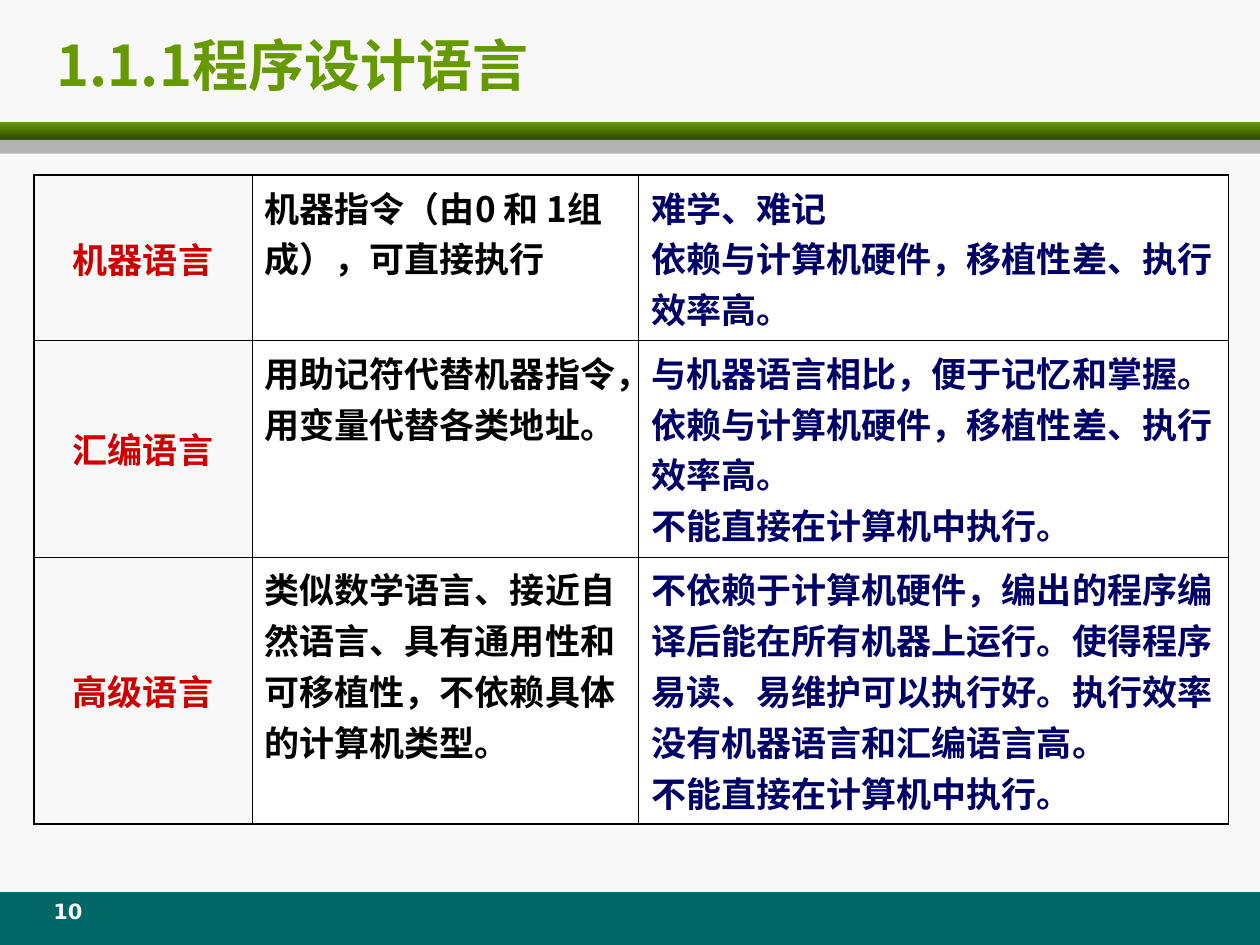
"""Build a slide comparing machine, assembly and high-level programming languages."""
from dataclasses import dataclass

from lxml import etree
from pptx import Presentation
from pptx.dml.color import RGBColor
from pptx.enum import shapes, text
from pptx.oxml.ns import qn
from pptx.util import Inches, Pt


@dataclass(frozen=True)
class Theme:
    """Colours, fonts, type sizes and line widths."""

    paper: str = "F8F8F8"
    white: str = "FFFFFF"
    black: str = "000000"
    green: str = "669900"
    dark_green: str = "2F4700"
    grey: str = "B2B2B2"
    teal: str = "006666"
    red: str = "CC0000"
    navy: str = "000066"
    title_font: str = "Noto Sans CJK JP"
    body_font: str = "Noto Sans CJK SC"
    number_font: str = "DejaVu Sans"
    title_size: float = 32
    body_size: float = 20
    number_size: float = 12
    outer_line: float = 1.08
    inner_line: float = 0.45


THEME = Theme()


@dataclass(frozen=True)
class Band:
    """A full-width bar with one colour, or two for a vertical gradient."""

    top: float
    height: float
    colors: tuple[str, ...]


@dataclass(frozen=True)
class Style:
    """The look of a run of text and its paragraph."""

    font: str
    size: float
    color: str
    align: text.PP_ALIGN = text.PP_ALIGN.LEFT


@dataclass(frozen=True)
class Language:
    """One table row: a kind of language, what it is, and its traits."""

    name: str
    meaning: str
    traits: tuple[str, ...]
    height: float


@dataclass(frozen=True)
class Column:
    """Width, text style, anchor and optional fill of a table column."""

    width: float
    style: Style
    anchor: text.MSO_ANCHOR
    fill: str | None


BANDS = (
    Band(7.08, 0.42, (THEME.teal,)),
    Band(0.97, 0.14, (THEME.green, THEME.dark_green)),
    Band(1.11, 0.11, (THEME.grey,)),
)
TITLE = Style(THEME.title_font, THEME.title_size, THEME.green)
NUMBER = Style(THEME.number_font, THEME.number_size, THEME.paper, text.PP_ALIGN.CENTER)
COLUMNS = (
    Column(1.73, Style(THEME.body_font, THEME.body_size, THEME.red, text.PP_ALIGN.CENTER),
           text.MSO_ANCHOR.MIDDLE, None),
    Column(3.07, Style(THEME.body_font, THEME.body_size, THEME.black),
           text.MSO_ANCHOR.TOP, THEME.white),
    Column(4.68, Style(THEME.body_font, THEME.body_size, THEME.navy),
           text.MSO_ANCHOR.TOP, THEME.white),
)
HARDWARE = "依赖与计算机硬件，移植性差、执行效率高。"
INDIRECT = "不能直接在计算机中执行。"
LANGUAGES = (
    Language("机器语言", "机器指令（由0 和 1组成），可直接执行", ("难学、难记", HARDWARE), 1.31),
    Language("汇编语言", "用助记符代替机器指令，用变量代替各类地址。",
             ("与机器语言相比，便于记忆和掌握。", HARDWARE, INDIRECT), 1.72),
    Language("高级语言", "类似数学语言、接近自然语言、具有通用性和可移植性，不依赖具体的计算机类型。",
             ("不依赖于计算机硬件，编出的程序编译后能在所有机器上运行。使得程序易读、易维护可以执行好。"
              "执行效率没有机器语言和汇编语言高。", INDIRECT), 2.12),
)


def rgb(color: str) -> RGBColor:
    """Turn a hex string into a colour."""
    return RGBColor.from_string(color)


def write(frame, lines: tuple[str, ...], style: Style) -> None:
    """Fill a text frame with one paragraph a line."""
    frame.word_wrap = True
    for index, line in enumerate(lines):
        para = frame.paragraphs[0] if index == 0 else frame.add_paragraph()
        para.alignment = style.align
        para.space_before = Pt(0)
        span = para.add_run()
        span.text = line
        span.font.size = Pt(style.size)
        span.font.bold = True
        span.font.name = style.font
        span.font.color.rgb = rgb(style.color)
        etree.SubElement(span.font._element, qn("a:ea"), typeface=style.font)


def draw_band(page, band: Band) -> None:
    """Draw a full-width bar."""
    bar = page.shapes.add_shape(shapes.MSO_SHAPE.RECTANGLE, 0, Inches(band.top),
                                Inches(10), Inches(band.height))
    bar.shadow.inherit = False
    bar.line.fill.background()
    if len(band.colors) == 1:
        bar.fill.solid()
        bar.fill.fore_color.rgb = rgb(band.colors[0])
        return
    bar.fill.gradient()
    bar.fill.gradient_angle = 270
    for position, (stop, color) in enumerate(zip(bar.fill.gradient_stops, band.colors)):
        stop.position = position
        stop.color.rgb = rgb(color)


def draw_borders(cell, outer: dict[str, bool]) -> None:
    """Rule the cell, thicker on the sides at the table's edge."""
    props = cell._tc.get_or_add_tcPr()
    for index, (side, edge) in enumerate(outer.items()):
        width = THEME.outer_line if edge else THEME.inner_line
        line = etree.Element(qn(f"a:{side}"), w=str(int(Pt(width))))
        fill = etree.SubElement(line, qn("a:solidFill"))
        etree.SubElement(fill, qn("a:srgbClr"), val=THEME.black)
        props.insert(index, line)


def draw_table(page) -> None:
    """Draw the comparison of languages."""
    last_row, last_column = len(LANGUAGES) - 1, len(COLUMNS) - 1
    grid = page.shapes.add_table(
        len(LANGUAGES), len(COLUMNS), Inches(0.27), Inches(1.39),
        Inches(sum(column.width for column in COLUMNS)),
        Inches(sum(language.height for language in LANGUAGES))).table
    grid.first_row = grid.horz_banding = False
    for index, column in enumerate(COLUMNS):
        grid.columns[index].width = Inches(column.width)
    for row, language in enumerate(LANGUAGES):
        grid.rows[row].height = Inches(language.height)
        contents = ((language.name,), (language.meaning,), language.traits)
        for index, (column, lines) in enumerate(zip(COLUMNS, contents)):
            cell = grid.cell(row, index)
            cell.vertical_anchor = column.anchor
            if column.fill:
                cell.fill.solid()
                cell.fill.fore_color.rgb = rgb(column.fill)
            else:
                cell.fill.background()
            write(cell.text_frame, lines, column.style)
            draw_borders(cell, {"lnL": index == 0, "lnR": index == last_column,
                                "lnT": row == 0, "lnB": row == last_row})


def main() -> None:
    """Build and save the deck."""
    deck = Presentation()
    deck.slide_width, deck.slide_height = Inches(10), Inches(7.5)
    page = deck.slides.add_slide(deck.slide_layouts[5])
    page.background.fill.solid()
    page.background.fill.fore_color.rgb = rgb(THEME.paper)
    for band in BANDS:
        draw_band(page, band)
    number = page.shapes.add_textbox(Inches(0.25), Inches(7.08), Inches(0.58), Inches(0.33))
    write(number.text_frame, ("10",), NUMBER)
    title = page.shapes.title
    title.left, title.top, title.width, title.height = map(Inches, (0.35, 0.21, 8.72, 0.59))
    title.text_frame.auto_size = text.MSO_AUTO_SIZE.NONE
    title.text_frame.vertical_anchor = text.MSO_ANCHOR.MIDDLE
    write(title.text_frame, ("1.1.1程序设计语言",), TITLE)
    draw_table(page)
    deck.save("out.pptx")


if __name__ == "__main__":
    main()
